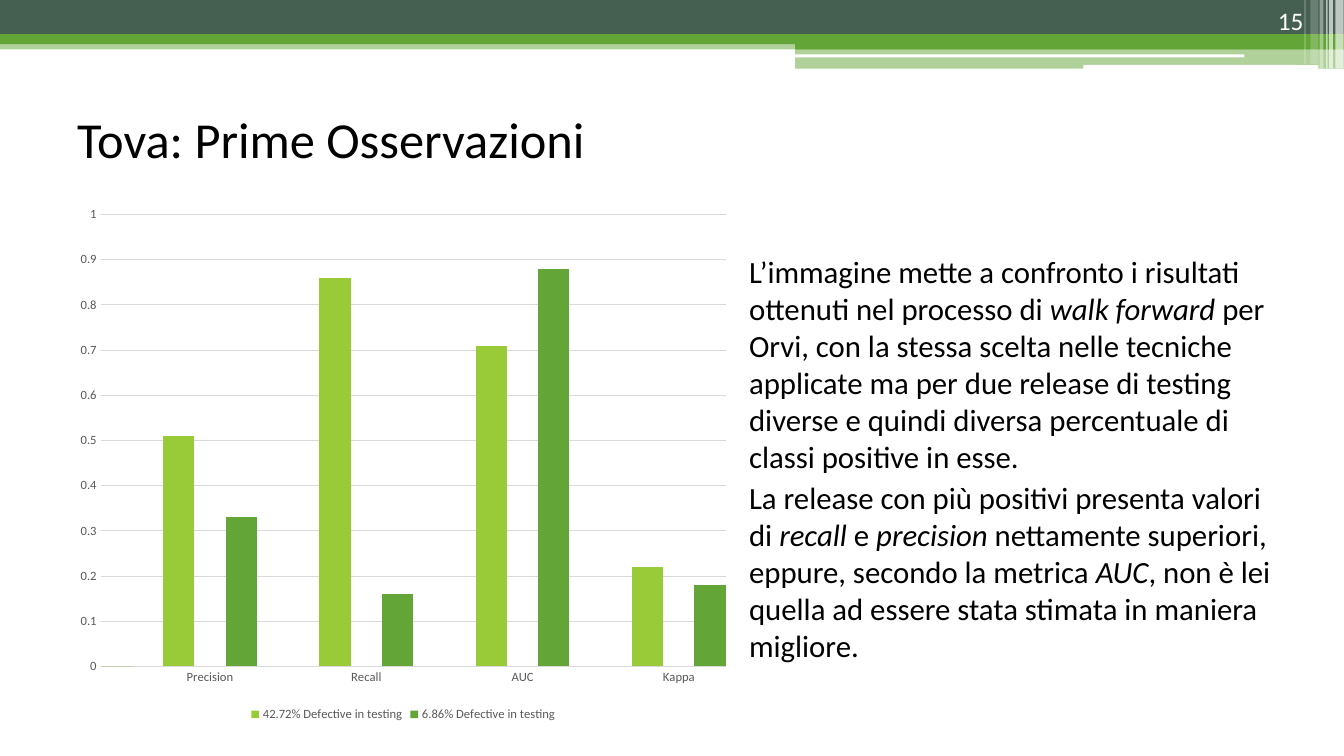
from typing import NamedTuple, Optional

from pptx import Presentation
from pptx.chart.data import CategoryChartData
from pptx.dml.color import RGBColor
from pptx.enum.chart import XL_CHART_TYPE as ChartType
from pptx.enum.chart import XL_LEGEND_POSITION as LegendPosition
from pptx.enum.chart import XL_TICK_MARK as TickMark
from pptx.enum.shapes import MSO_SHAPE as Shape
from pptx.enum.text import MSO_ANCHOR as Anchor
from pptx.enum.text import PP_ALIGN as Align
from pptx.oxml.xmlchemy import OxmlElement
from pptx.util import Inches, Pt

SLIDE_WIDTH, SLIDE_HEIGHT = Inches(13.33), Inches(7.5)
FONT = "Calibri"

WHITE = RGBColor(0xFF, 0xFF, 0xFF)
BLACK = RGBColor(0x00, 0x00, 0x00)
SLATE = RGBColor(0x45, 0x5F, 0x51)
GREEN = RGBColor(0x63, 0xA5, 0x37)
LIME = RGBColor(0x99, 0xCB, 0x38)
LABEL_GRAY = RGBColor(0x59, 0x59, 0x59)
GRID_GRAY = RGBColor(0xD9, 0xD9, 0xD9)


class Box(NamedTuple):
    """Position and size in percent of the slide's width and height."""
    left: float
    top: float
    width: float
    height: float

    def lengths(self) -> tuple:
        return tuple(int(share * side / 100) for share, side in
                     zip(self, (SLIDE_WIDTH, SLIDE_HEIGHT) * 2))


class Band(NamedTuple):
    box: Box
    color: RGBColor
    opacity: int = 100
    rounded: bool = False


class Run(NamedTuple):
    text: str
    italic: bool = False


class TextBlock(NamedTuple):
    box: Box
    paragraphs: list
    size: int
    color: RGBColor = BLACK
    anchor: Anchor = Anchor.TOP
    align: Align = Align.LEFT
    space_before: int = 0
    space_after: int = 0


class Series(NamedTuple):
    name: str
    color: RGBColor
    first_slot: int
    values: tuple


BANDS = [
    Band(Box(0, 5.33, 100, 1.2), GREEN, 50),
    Band(Box(0, 0, 100, 4.53), SLATE),
    Band(Box(0, 4.53, 100, 1.33), GREEN),
    Band(Box(59.16, 5.2, 40.84, 1.33), GREEN),
    Band(Box(59.16, 6.4, 40.84, 2.67), GREEN, 50),
    Band(Box(59.1, 7.2, 33.5, 0.4), WHITE, rounded=True),
    Band(Box(80.6, 8.6, 17.5, 0.53), WHITE, rounded=True),
    Band(Box(99.36, 0, 0.62, 9.07), WHITE, 65),
    Band(Box(98.9, 0, 0.28, 9.07), WHITE, 65),
    Band(Box(98.68, 0, 0.1, 9.07), WHITE, 60),
    Band(Box(98.18, 0, 0.28, 9.07), WHITE, 40),
    Band(Box(97.5, 0, 0.6, 8.53), WHITE, 20),
    Band(Box(97.05, 0, 0.1, 8.53), WHITE, 30),
]

TEXT_BLOCKS = [
    TextBlock(Box(5, 10.5, 90, 15.6), [[Run("Tova: Prime Osservazioni")]], 36,
              anchor=Anchor.MIDDLE),
    TextBlock(Box(55, 32.8, 40.7, 63.3), [
        [Run("L’immagine mette a confronto i risultati ottenuti nel processo di "),
         Run("walk forward ", True),
         Run("per Orvi, con la stessa scelta nelle tecniche applicate ma per due "
             "release di testing diverse e quindi diversa percentuale di classi "
             "positive in esse.")],
        [Run("La release con più positivi presenta valori di "),
         Run("recall", True), Run(" e "), Run("precision", True),
         Run(" nettamente superiori, eppure, secondo la metrica "),
         Run("AUC", True),
         Run(", non è lei quella ad essere stata stimata in maniera migliore.")],
    ], 22, space_before=3),
    TextBlock(Box(89.4, 0, 8.33, 5.33), [[Run("15")]], 18, WHITE,
              Anchor.BOTTOM, Align.RIGHT, space_after=6),
]

CHART_BOX = Box(5, 26, 50, 70)
METRICS = ("Precision", "Recall", "AUC", "Kappa")
SLOTS_PER_METRIC = 5
LABEL_SLOT = 3
SERIES = [
    Series("42.72% Defective in testing", LIME, 2, (0.51, 0.86, 0.71, 0.22)),
    Series("6.86% Defective in testing", GREEN, 4, (0.33, 0.16, 0.88, 0.18)),
]


def apply_format(target: object, values: dict) -> None:
    for name, value in values.items():
        setattr(target, name, value)


def format_font(font: object, size: int, color: RGBColor, **extra: bool) -> None:
    apply_format(font, {"name": FONT, "size": Pt(size), **extra})
    font.color.rgb = color


def draw_band(slide: object, band: Band) -> None:
    kind = Shape.ROUNDED_RECTANGLE if band.rounded else Shape.RECTANGLE
    shape = slide.shapes.add_shape(kind, *band.box.lengths())
    shape.shadow.inherit = False
    shape.line.fill.background()
    shape.fill.solid()
    shape.fill.fore_color.rgb = band.color
    if band.opacity < 100:
        alpha = OxmlElement("a:alpha")
        alpha.set("val", str(band.opacity * 1000))
        shape.fill._xPr.find(".//{*}srgbClr").append(alpha)


def draw_text(slide: object, block: TextBlock) -> None:
    frame = slide.shapes.add_textbox(*block.box.lengths()).text_frame
    apply_format(frame, {"word_wrap": True, "vertical_anchor": block.anchor})
    for index, runs in enumerate(block.paragraphs):
        paragraph = frame.add_paragraph() if index else frame.paragraphs[0]
        apply_format(paragraph, {"alignment": block.align,
                                 "space_before": Pt(block.space_before),
                                 "space_after": Pt(block.space_after)})
        for part in runs:
            run = paragraph.add_run()
            run.text = part.text
            format_font(run.font, block.size, block.color, italic=part.italic)


def spread(values: tuple, first_slot: int, filler: Optional[str]) -> list:
    """Place one value per metric in its slot and fill the other slots."""
    slots = [filler] * (SLOTS_PER_METRIC * len(values))
    slots[first_slot::SLOTS_PER_METRIC] = values
    return slots


def draw_chart(slide: object) -> None:
    data = CategoryChartData()
    data.categories = spread(METRICS, LABEL_SLOT, "")
    for series in SERIES:
        data.add_series(series.name,
                        [0] + spread(series.values, series.first_slot, None)[1:])
    chart = slide.shapes.add_chart(ChartType.COLUMN_CLUSTERED,
                                   *CHART_BOX.lengths(), data).chart
    format_font(chart.font, 10, BLACK)
    apply_format(chart, {"has_title": False, "has_legend": True})
    apply_format(chart.legend, {"position": LegendPosition.BOTTOM,
                                "include_in_layout": False})
    format_font(chart.legend.font, 9, LABEL_GRAY)

    plot = chart.plots[0]
    apply_format(plot, {"gap_width": 0, "overlap": 100, "vary_by_categories": False})
    for drawn, series in zip(plot.series, SERIES):
        drawn.invert_if_negative = False
        drawn.format.fill.solid()
        drawn.format.fill.fore_color.rgb = series.color

    category_axis, value_axis = chart.category_axis, chart.value_axis
    for axis in (category_axis, value_axis):
        apply_format(axis, {"major_tick_mark": TickMark.NONE,
                            "minor_tick_mark": TickMark.NONE})
        format_font(axis.tick_labels.font, 9, LABEL_GRAY)
    apply_format(value_axis, {"minimum_scale": 0, "maximum_scale": 1,
                              "major_unit": 0.1, "has_major_gridlines": True})
    apply_format(value_axis.tick_labels, {"number_format": "General",
                                          "number_format_is_linked": False})
    value_axis.format.line.fill.background()
    for line in (category_axis.format.line, value_axis.major_gridlines.format.line):
        line.color.rgb = GRID_GRAY
        line.width = Pt(0.75)
    label_body = category_axis._element.find(".//{*}txPr/{*}bodyPr")
    label_body.set("rot", "-60000000")
    label_body.set("vert", "horz")


def main() -> None:
    presentation = Presentation()
    apply_format(presentation, {"slide_width": SLIDE_WIDTH,
                                "slide_height": SLIDE_HEIGHT})
    slide = presentation.slides.add_slide(presentation.slide_layouts[6])
    for band in BANDS:
        draw_band(slide, band)
    for block in TEXT_BLOCKS:
        draw_text(slide, block)
    draw_chart(slide)
    presentation.save("out.pptx")


if __name__ == "__main__":
    main()
